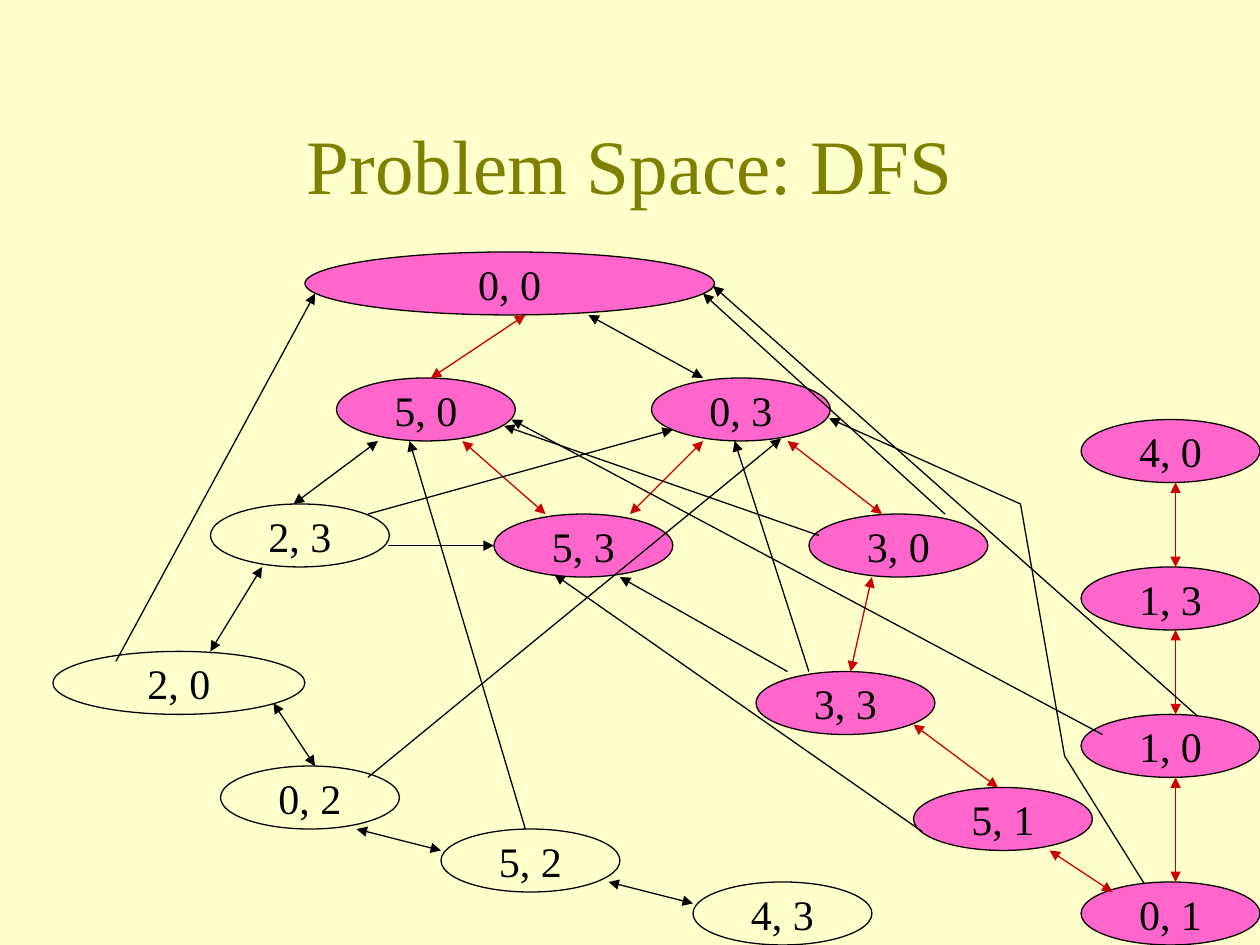
from lxml.etree import SubElement
from pptx import Presentation
from pptx.dml.color import RGBColor
from pptx.enum.shapes import MSO_CONNECTOR as Connector, MSO_SHAPE as Shape
from pptx.enum.text import MSO_ANCHOR as Anchor, PP_ALIGN as Align
from pptx.oxml.ns import qn
from pptx.util import Inches, Pt

FONT = "Times New Roman"
BACKGROUND, TITLE, VISITED, BLACK, RED = "FFFFCC", "808000", "FF66CC", "000000", "CC0000"
NODE_WIDTH, NODE_HEIGHT = 1.42, 0.5
LINE_WIDTH = Pt(0.75)

# label, left, top, width
VISITED_STATES = [
    ("0, 0", 2.42, 2, 3.25),
    ("5, 0", 2.67, 3, NODE_WIDTH),
    ("0, 3", 5.17, 3, NODE_WIDTH),
    ("5, 3", 3.92, 4.08, NODE_WIDTH),
    ("3, 0", 6.42, 4.08, NODE_WIDTH),
    ("3, 3", 6, 5.33, NODE_WIDTH),
    ("5, 1", 7.25, 6.25, NODE_WIDTH),
    ("0, 1", 8.58, 7, NODE_WIDTH),
    ("1, 0", 8.58, 5.67, NODE_WIDTH),
    ("1, 3", 8.58, 4.5, NODE_WIDTH),
    ("4, 0", 8.58, 3.33, NODE_WIDTH),
]
UNVISITED_STATES = [
    ("2, 3", 1.67, 4, NODE_WIDTH),
    ("2, 0", 0.42, 5.17, 2),
    ("0, 2", 1.75, 6.08, NODE_WIDTH),
    ("5, 2", 3.5, 6.58, NODE_WIDTH),
    ("4, 3", 5.5, 7, NODE_WIDTH),
]

# start x, start y, end x, end y
SEARCH_PATH = [
    (4.17, 2.5, 3.42, 3),
    (3.67, 3.5, 4.33, 4.08),
    (5.58, 3.5, 5, 4.08),
    (6.25, 3.5, 7, 4.08),
    (6.92, 4.58, 6.75, 5.33),
    (7.25, 5.75, 7.92, 6.25),
    (8.33, 6.75, 8.83, 7.08),
    (9.33, 7, 9.33, 6.17),
    (9.33, 5.67, 9.33, 5),
    (9.33, 4.5, 9.33, 3.83),
]
TWO_WAY_MOVES = [
    (4.67, 2.5, 5.58, 3),
    (3, 3.5, 2.33, 4),
    (1.67, 5.17, 2.08, 4.5),
    (2.17, 5.58, 2.5, 6.08),
    (2.83, 6.58, 3.5, 6.75),
    (4.83, 7, 5.5, 7.17),
]
ONE_WAY_MOVES = [
    (3.08, 4.33, 3.92, 4.33),
    (2.92, 4.08, 5.34, 3.41),
    (6.5, 4.25, 4, 3.38),
    (7.5, 4.08, 5.58, 2.33),
    (0.92, 5.25, 2.5, 2.33),
    (6.25, 5.33, 4.92, 4.58),
    (6.42, 5.33, 5.83, 3.5),
    (2.92, 6.17, 6.2, 3.48),
    (4.17, 6.58, 3.25, 3.5),
    (7.32, 6.6, 4.4, 4.56),
    (8.75, 5.83, 4.06, 3.33),
    (9.5, 5.68, 5.66, 2.27),
]
# corners of the move from 0, 1 to 0, 3, led around the states between them
BENT_MOVE = [(9.08, 7.01), (8.45, 6), (8.1, 4), (6.58, 3.32)]


def rgb(color):
    return RGBColor.from_string(color)


def write_text(shape, text, size, color, wrap):
    frame = shape.text_frame
    frame.word_wrap = wrap
    frame.vertical_anchor = Anchor.MIDDLE
    paragraph = frame.paragraphs[0]
    paragraph.alignment = Align.CENTER
    run = paragraph.add_run()
    run.text = text
    run.font.name = FONT
    run.font.size = Pt(size)
    run.font.color.rgb = rgb(color)


def add_title(slide, text):
    box = slide.shapes.add_textbox(Inches(0.75), Inches(0.67), Inches(8.5), Inches(1.25))
    write_text(box, text, 44, TITLE, True)


def set_line(shape, color):
    shape.line.color.rgb = rgb(color)
    shape.line.width = LINE_WIDTH


def add_heads(shape, two_way):
    line = shape.element.spPr.find(qn("a:ln"))
    for end in ("a:headEnd", "a:tailEnd") if two_way else ("a:tailEnd",):
        SubElement(line, qn(end), type="triangle")


def add_state(slide, label, left, top, width, fill=None):
    shape = slide.shapes.add_shape(
        Shape.OVAL, Inches(left), Inches(top), Inches(width), Inches(NODE_HEIGHT))
    shape.shadow.inherit = False
    if fill:
        shape.fill.solid()
        shape.fill.fore_color.rgb = rgb(fill)
    else:
        shape.fill.background()
    set_line(shape, BLACK)
    write_text(shape, label, 24, BLACK, False)


def add_arrow(slide, points, color, two_way):
    connector = slide.shapes.add_connector(
        Connector.STRAIGHT, *(Inches(value) for value in points))
    set_line(connector, color)
    add_heads(connector, two_way)
    SubElement(connector.element.spPr, qn("a:effectLst"))


def add_bent_arrow(slide, corners, color):
    start, *others = [(Inches(x), Inches(y)) for x, y in corners]
    builder = slide.shapes.build_freeform(*start)
    builder.add_line_segments(others, close=False)
    shape = builder.convert_to_shape()
    shape.shadow.inherit = False
    shape.fill.background()
    set_line(shape, color)
    add_heads(shape, False)


def main():
    presentation = Presentation()
    presentation.slide_width, presentation.slide_height = Inches(10), Inches(7.5)
    slide = presentation.slides.add_slide(presentation.slide_layouts[6])
    slide.background.fill.solid()
    slide.background.fill.fore_color.rgb = rgb(BACKGROUND)

    add_title(slide, "Problem Space: DFS")
    for state in VISITED_STATES:
        add_state(slide, *state, fill=VISITED)
    for state in UNVISITED_STATES:
        add_state(slide, *state)
    for arrows, color, two_way in (
        (SEARCH_PATH, RED, True),
        (TWO_WAY_MOVES, BLACK, True),
        (ONE_WAY_MOVES, BLACK, False),
    ):
        for points in arrows:
            add_arrow(slide, points, color, two_way)
    add_bent_arrow(slide, BENT_MOVE, BLACK)

    presentation.save("out.pptx")


if __name__ == "__main__":
    main()
